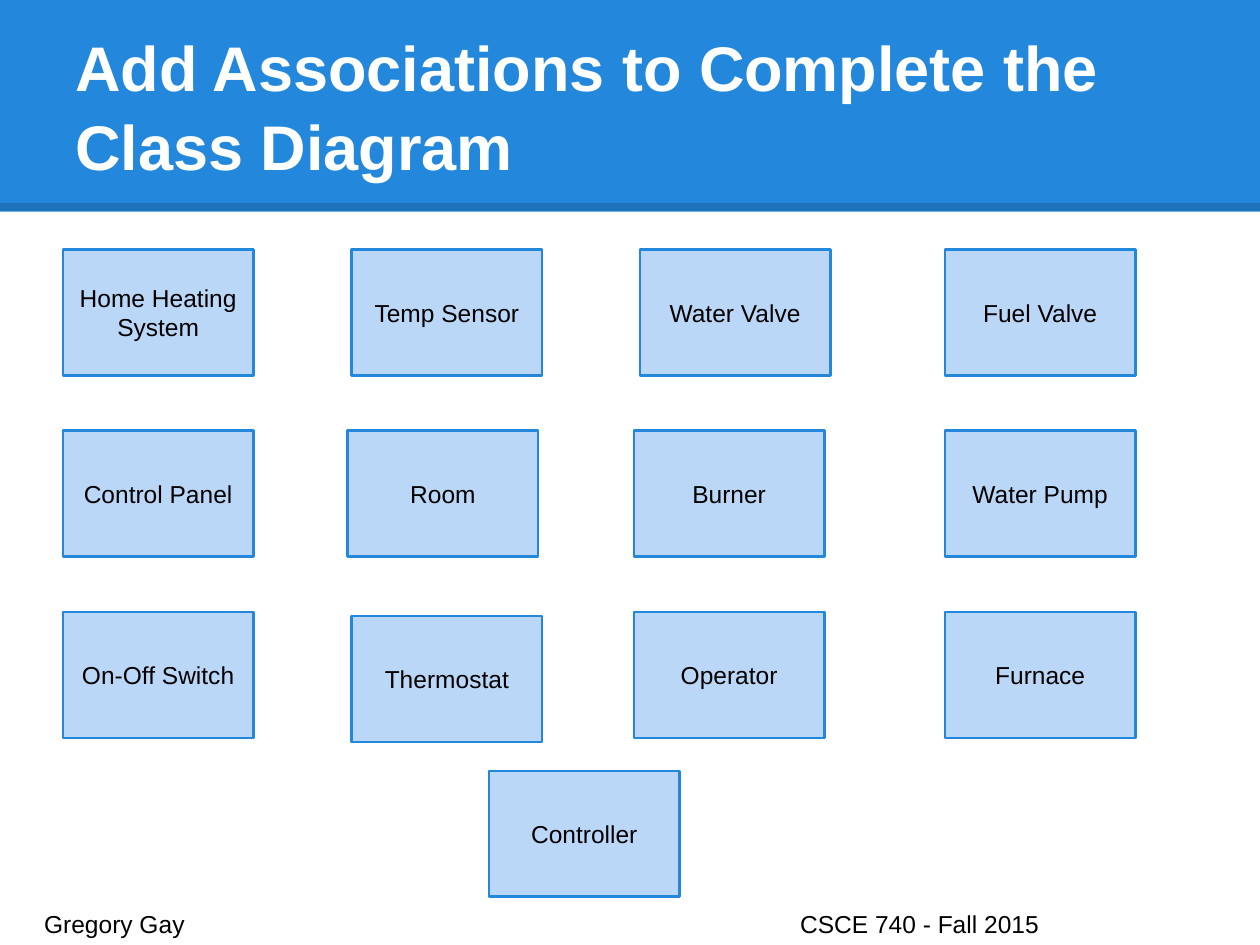
from typing import NamedTuple

from lxml.etree import SubElement
from pptx import Presentation
from pptx.dml.color import RGBColor
from pptx.enum.shapes import MSO_CONNECTOR, MSO_SHAPE
from pptx.enum.text import MSO_ANCHOR, MSO_AUTO_SIZE, PP_ALIGN
from pptx.oxml.ns import qn
from pptx.util import Cm, Pt

BLUE = RGBColor(0x23, 0x88, 0xDB)
LIGHT_BLUE = RGBColor(0xBB, 0xD7, 0xF8)
BLACK = RGBColor(0, 0, 0)
WHITE = RGBColor(255, 255, 255)
FONT = "Arial"
SLIDE_WIDTH, SLIDE_HEIGHT = Cm(25.4), Cm(19.05)
INSET = Cm(0.25)
BOX_WIDTH, BOX_HEIGHT = Cm(3.84), Cm(2.54)
COLUMNS = (1.27, 7.09, 12.78, 19.05)
ROWS = (5.03, 8.68, 12.34)


class ClassBox(NamedTuple):
    name: str
    left: float
    top: float


CLASSES = (
    ClassBox("Home Heating System", COLUMNS[0], ROWS[0]),
    ClassBox("Temp Sensor", COLUMNS[1], ROWS[0]),
    ClassBox("Water Valve", 12.9, ROWS[0]),
    ClassBox("Fuel Valve", COLUMNS[3], ROWS[0]),
    ClassBox("Control Panel", COLUMNS[0], ROWS[1]),
    ClassBox("Room", 7.01, ROWS[1]),
    ClassBox("Burner", COLUMNS[2], ROWS[1]),
    ClassBox("Water Pump", COLUMNS[3], ROWS[1]),
    ClassBox("On-Off Switch", COLUMNS[0], ROWS[2]),
    ClassBox("Thermostat", COLUMNS[1], 12.42),
    ClassBox("Operator", COLUMNS[2], ROWS[2]),
    ClassBox("Furnace", COLUMNS[3], ROWS[2]),
    ClassBox("Controller", 9.86, 15.54),
)


def format_text(shape, size: float, color: RGBColor, align: PP_ALIGN,
                anchor: MSO_ANCHOR, bold: bool = False) -> None:
    frame = shape.text_frame
    frame.word_wrap = True
    frame.auto_size = MSO_AUTO_SIZE.NONE
    frame.vertical_anchor = anchor
    frame.margin_left = frame.margin_right = INSET
    frame.margin_top = frame.margin_bottom = INSET
    for paragraph in frame.paragraphs:
        paragraph.alignment = align
        for run in paragraph.runs:
            run.font.name = FONT
            run.font.size = Pt(size)
            run.font.bold = bold
            run.font.color.rgb = color


def add_header(slide, text: str) -> None:
    band = slide.shapes.add_shape(MSO_SHAPE.RECTANGLE, 0, 0, SLIDE_WIDTH, Cm(4.27))
    band.shadow.inherit = False
    band.fill.solid()
    band.fill.fore_color.rgb = BLUE
    band.line.fill.background()

    rule = slide.shapes.add_connector(
        MSO_CONNECTOR.STRAIGHT, 0, Cm(4.17), SLIDE_WIDTH, Cm(4.17))
    rule.line.color.rgb = BLACK
    rule.line.width = Pt(4.5)
    color = rule.element.spPr.find(".//" + qn("a:srgbClr"))
    SubElement(color, qn("a:alpha"), val="15000")
    SubElement(rule.element.spPr, qn("a:effectLst"))

    title = slide.shapes.title
    title.left, title.top = Cm(1.27), Cm(0.76)
    title.width, title.height = Cm(22.86), Cm(3.18)
    title.text_frame.text = text
    format_text(title, 36, WHITE, PP_ALIGN.LEFT, MSO_ANCHOR.BOTTOM, bold=True)
    title.text_frame.paragraphs[0].line_spacing = 1.05
    rule.element.addnext(title.element)


def add_class_box(slide, box: ClassBox) -> None:
    shape = slide.shapes.add_shape(
        MSO_SHAPE.RECTANGLE, Cm(box.left), Cm(box.top), BOX_WIDTH, BOX_HEIGHT)
    shape.shadow.inherit = False
    shape.fill.solid()
    shape.fill.fore_color.rgb = LIGHT_BLUE
    shape.line.color.rgb = BLUE
    shape.line.width = Pt(1.5)
    shape.text_frame.text = box.name
    format_text(shape, 14, BLACK, PP_ALIGN.CENTER, MSO_ANCHOR.MIDDLE)


def add_footer(slide, author: str, course: str) -> None:
    footer = slide.shapes.add_textbox(Cm(0.64), Cm(18.08), Cm(24.16), Cm(0.76))
    paragraph = footer.text_frame.paragraphs[0]
    paragraph.text = f"{author}\t{course}"
    tabs = SubElement(paragraph._p.get_or_add_pPr(), qn("a:tabLst"))
    SubElement(tabs, qn("a:tab"), pos=str(Cm(15.24)), algn="l")
    format_text(footer, 14, BLACK, PP_ALIGN.LEFT, MSO_ANCHOR.TOP)


def main() -> None:
    presentation = Presentation()
    presentation.slide_width = SLIDE_WIDTH
    presentation.slide_height = SLIDE_HEIGHT
    slide = presentation.slides.add_slide(presentation.slide_layouts[5])
    add_header(slide, "Add Associations to Complete the Class Diagram")
    for box in CLASSES:
        add_class_box(slide, box)
    add_footer(slide, "Gregory Gay", "CSCE 740 - Fall 2015")
    presentation.save("out.pptx")


if __name__ == "__main__":
    main()
